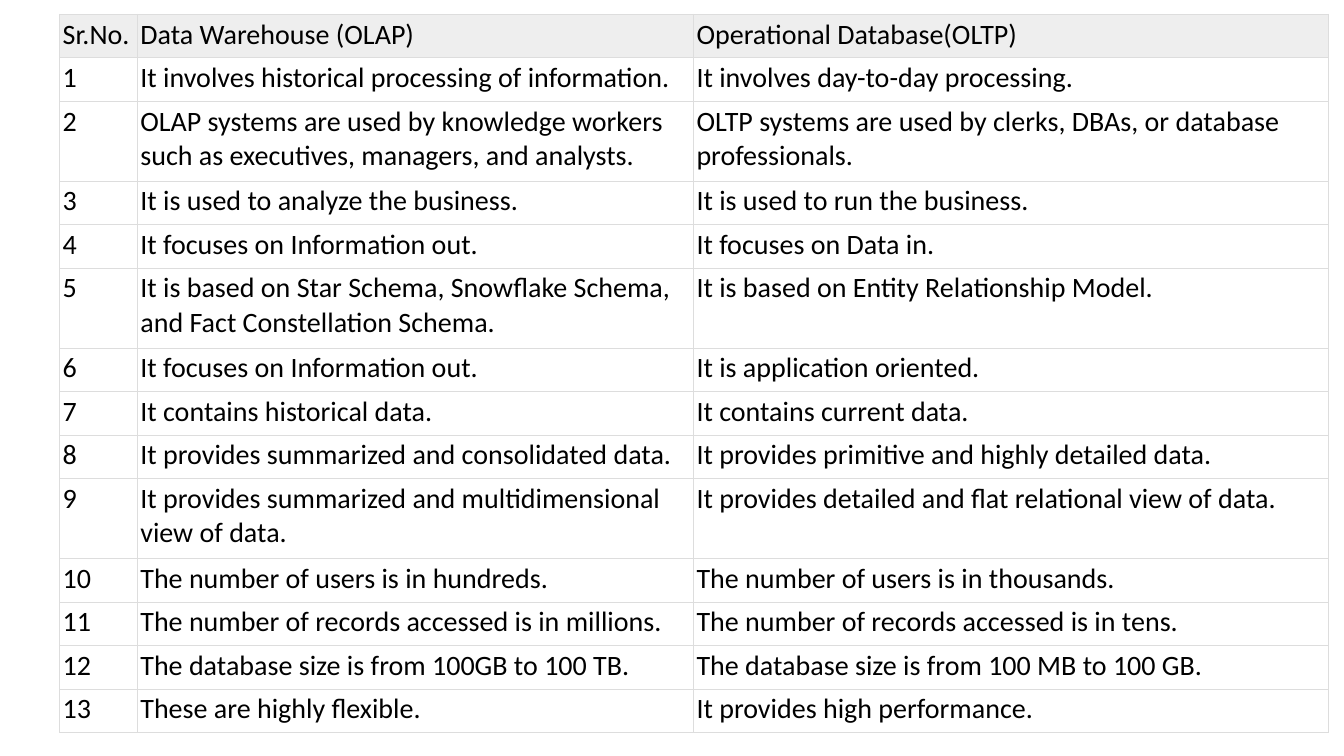
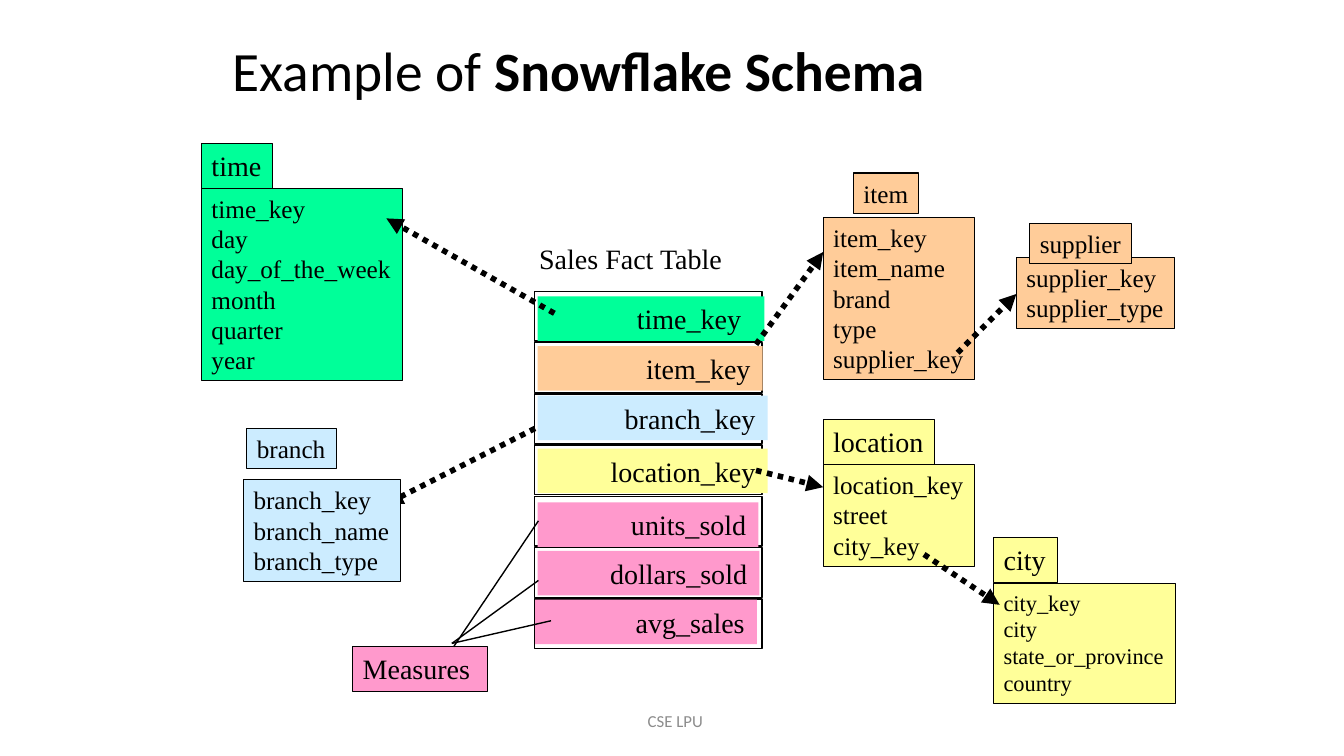
from pptx import Presentation
from pptx import util as u
from pptx.dml.color import RGBColor
from pptx.enum import dml, shapes, text
from pptx.oxml import parse_xml
from pptx.oxml.ns import nsdecls, qn
from lxml import etree

THEME = {
    "black": "000000", "grey": "8C8C8C", "head": "EEEEEE", "rule": "DDDDDD",
    "green": "00FF99", "orange": "FFCC99", "blue": "CCECFF",
    "yellow": "FFFF99", "pink": "FF99CC",
    "sans": "Calibri", "serif": "Times New Roman",
    "title": 39.6, "label": 20, "field": 18, "small": 16, "footer": 12,
}

# The slide is a grid of 160 columns by 90 rows
W, H = u.Inches(13.33), u.Inches(7.5)
COLS, ROWS = 160, 90


def gx(n):
    return int(W * n / COLS)


def gy(n):
    return int(H * n / ROWS)


def place(box):
    x, y, w, h = box
    return gx(x), gy(y), gx(w), gy(h)


def color(name):
    return RGBColor.from_string(THEME[name])


def write(tf, lines, size="label", font="serif", ink="black", inset=0.1,
          align="LEFT", anchor="TOP", wrap=False):
    """Each line is a string, or a list of (string, bold) runs."""
    frame_format = {
        "word_wrap": wrap, "vertical_anchor": getattr(text.MSO_ANCHOR, anchor),
        "margin_left": u.Inches(inset), "margin_right": u.Inches(inset),
        "margin_top": u.Inches(inset / 2), "margin_bottom": u.Inches(inset / 2),
    }
    for name, value in frame_format.items():
        setattr(tf, name, value)
    for i, line in enumerate(lines):
        p = tf.add_paragraph() if i else tf.paragraphs[0]
        p.alignment = getattr(text.PP_ALIGN, align)
        for words, bold in [(line, False)] if isinstance(line, str) else line:
            r = p.add_run()
            run_format = {"size": u.Pt(THEME[size]), "name": THEME[font], "bold": bold}
            for name, value in run_format.items():
                setattr(r.font, name, value)
            r.text = words
            r.font.color.rgb = color(ink)


def add_text(s, box, lines, **style):
    write(s.shapes.add_textbox(*place(box)).text_frame, lines, **style)


def add_box(parent, box, fill=None, line=0.75, lines=(), **style):
    sp = parent.shapes.add_shape(shapes.MSO_SHAPE.RECTANGLE, *place(box))
    sp.shadow.inherit = False
    if fill:
        sp.fill.solid()
        sp.fill.fore_color.rgb = color(fill)
    else:
        sp.fill.background()
    if line:
        sp.line.width = u.Pt(line)
        sp.line.color.rgb = color("black")
    else:
        sp.line.fill.background()
    if lines:
        write(sp.text_frame, lines, **style)


def add_line(s, x1, y1, x2, y2, arrow=False):
    c = s.shapes.add_connector(shapes.MSO_CONNECTOR.STRAIGHT,
                               gx(x1), gy(y1), gx(x2), gy(y2))
    c.line.color.rgb = color("black")
    c.line.width = u.Pt(4 if arrow else 1)
    props = c.element.spPr
    if arrow:
        c.line.dash_style = dml.MSO_LINE.ROUND_DOT
        etree.SubElement(props.find(qn("a:ln")), qn("a:tailEnd"), type="triangle")
    etree.SubElement(props, qn("a:effectLst"))


# Comparison table slide
COMPARISON = [
    ("Data Warehouse (OLAP)", "Operational Database(OLTP)"),
    ("It involves historical processing of information.",
     "It involves day-to-day processing."),
    ("OLAP systems are used by knowledge workers such as executives, managers, and analysts.",
     "OLTP systems are used by clerks, DBAs, or database professionals."),
    ("It is used to analyze the business.", "It is used to run the business."),
    ("It focuses on Information out.", "It focuses on Data in."),
    ("It is based on Star Schema, Snowflake Schema, and Fact Constellation Schema.",
     "It is based on Entity Relationship Model."),
    ("It focuses on Information out.", "It is application oriented."),
    ("It contains historical data.", "It contains current data."),
    ("It provides summarized and consolidated data.",
     "It provides primitive and highly detailed data."),
    ("It provides summarized and multidimensional view of data.",
     "It provides detailed and flat relational view of data."),
    ("The number of users is in hundreds.", "The number of users is in thousands."),
    ("The number of records accessed is in millions.",
     "The number of records accessed is in tens."),
    ("The database size is from 100GB to 100 TB.",
     "The database size is from 100 MB to 100 GB."),
    ("These are highly flexible.", "It provides high performance."),
]
WRAPPED_ROWS = (2, 5, 9)


def border(cell):
    props = cell._tc.get_or_add_tcPr()
    for i, side in enumerate(("lnL", "lnR", "lnT", "lnB")):
        props.insert(i, parse_xml(
            f'<a:{side} {nsdecls("a")} w="9525"><a:solidFill>'
            f'<a:srgbClr val="{THEME["rule"]}"/></a:solidFill></a:{side}>'))


def comparison_table(s, box):
    table = s.shapes.add_table(len(COMPARISON), 3, *place(box)).table
    table.horz_banding = False
    for column, share in zip(table.columns, (0.0613, 0.4385, 0.5002)):
        column.width = gx(box[2] * share)
    for i, pair in enumerate(COMPARISON):
        table.rows[i].height = gy(9.52 if i in WRAPPED_ROWS else 5.18)
        for j, words in enumerate((str(i) if i else "Sr.No.", *pair)):
            cell = table.cell(i, j)
            if i:
                cell.fill.background()
            else:
                cell.fill.solid()
                cell.fill.fore_color.rgb = color("head")
            write(cell.text_frame, [words], font="sans", wrap=True)
            for side in ("left", "right", "top", "bottom"):
                setattr(cell, f"margin_{side}", u.Inches(0.03))
            border(cell)


# Snowflake schema slide
# name: colour, tag size, field size, tag box, field box, fields
DIMENSIONS = {
    "time": ("green", "label", "field", (24, 17.1, 8.4, 5.3), (24, 22.4, 23.9, 22.9),
             ["time_key", "day", "day_of_the_week", "month", "quarter", "year"]),
    "location": ("yellow", "label", "field", (98, 50, 13.2, 5.3), (98, 55.3, 18, 12.1),
                 ["location_key", "street", "city_key"]),
    "item": ("orange", "field", "field", (101.6, 20.6, 7.8, 4.8), (98, 25.9, 18, 19.3),
             ["item_key", "item_name", "brand", "type", "supplier_key"]),
    "branch": ("blue", "field", "field", (29.4, 51, 10.7, 4.8), (29, 57.1, 18.7, 12.1),
               ["branch_key", "branch_name", "branch_type"]),
    "supplier": ("orange", "field", "field", (122.6, 26.6, 12.1, 4.8),
                 (121, 30.6, 18.8, 8.5), ["supplier_key", "supplier_type"]),
    "city": ("yellow", "label", "small", (118.3, 64, 7.6, 5.3), (118.3, 69.5, 21.7, 14.2),
             ["city_key", "city", "state_or_province", "country"]),
}

# field, colour, offset in its row (x, y), width, right inset in inches
FACT_ROWS = [
    ("time_key", "green", 0.4, 0.6, 27, 0.23),
    ("item_key", "orange", 0.4, 0.4, 26.8, 0.12),
    ("branch_key", "blue", 0.4, 0.2, 27.4, 0.12),
    ("location_key", "yellow", 0.4, 0.4, 27.4, 0.12),
    ("units_sold", "pink", 0.4, 0.7, 26.3, 0.12),
    ("dollars_sold", "pink", 0.4, 0.4, 26.4, 0.12),
    ("avg_sales", "pink", 0.1, 0.1, 26.4, 0.12),
]

FACT_LINKS = [(63.7, 51, 46, 60), (66, 37.3, 46, 26), (90, 56, 98, 58), (90, 41, 98, 30)]
MEASURE_LINES = [(54, 77, 64.1, 62), (53.8, 76.6, 64.1, 69.1), (53.8, 76.6, 65.6, 73.9)]


def dimension(s, name):
    fill, tag_size, field_size, tag, body, fields = DIMENSIONS[name]
    group = s.shapes.add_group_shape()
    add_box(group, body, fill, lines=fields, size=field_size)
    add_box(group, tag, fill, lines=[name], size=tag_size)


def fact_table(s, box):
    x, y, w, h = box
    pitch = h / len(FACT_ROWS)
    add_text(s, (x - 0.6, y - 6.5, 24.4, 5.3), ["Sales Fact Table"])
    for i, (field, fill, dx, dy, width, inset) in enumerate(FACT_ROWS):
        top = y + i * pitch
        add_box(s, (x, top, w, pitch - 0.2), line=1)
        add_box(s, (x + dx, top + dy, width, 5.3), fill, line=0, lines=[field],
                inset=inset, align="RIGHT", anchor="MIDDLE", wrap=True)


def measures(s, box):
    add_box(s, box, "pink", lines=["Measures"])
    for ends in MEASURE_LINES:
        add_line(s, *ends)


def snowflake(s):
    dimension(s, "time")
    dimension(s, "location")
    fact_table(s, (63.6, 34.7, 27.1, 42.7))
    measures(s, (42, 77, 16, 5.3))
    for ends in FACT_LINKS:
        add_line(s, *ends, arrow=True)
    for name in ("item", "branch", "supplier"):
        dimension(s, name)
    add_line(s, 114, 42, 121, 35, arrow=True)
    dimension(s, "city")
    add_line(s, 110, 66, 119, 72, arrow=True)


def title(s, box, runs):
    add_text(s, box, [runs], size="title", font="sans", anchor="MIDDLE", wrap=True)
    s.shapes[-1].text_frame.paragraphs[0].line_spacing = 0.9


def footer(s, box, words):
    add_text(s, box, [words], size="footer", font="sans", ink="grey",
             align="CENTER", anchor="MIDDLE", wrap=True)


def main():
    prs = Presentation()
    prs.slide_width, prs.slide_height = W, H
    blank = prs.slide_layouts[6]

    s = prs.slides.add_slide(blank)
    comparison_table(s, (7.1, 1.7, 151, 85.5))

    s = prs.slides.add_slide(blank)
    title(s, (26.5, 5.4, 102, 6.6), [("Example of ", False), ("Snowflake Schema", True)])
    snowflake(s)
    footer(s, (53.4, 83.4, 54, 4.8), "CSE LPU")

    prs.save("out.pptx")


if __name__ == "__main__":
    main()
